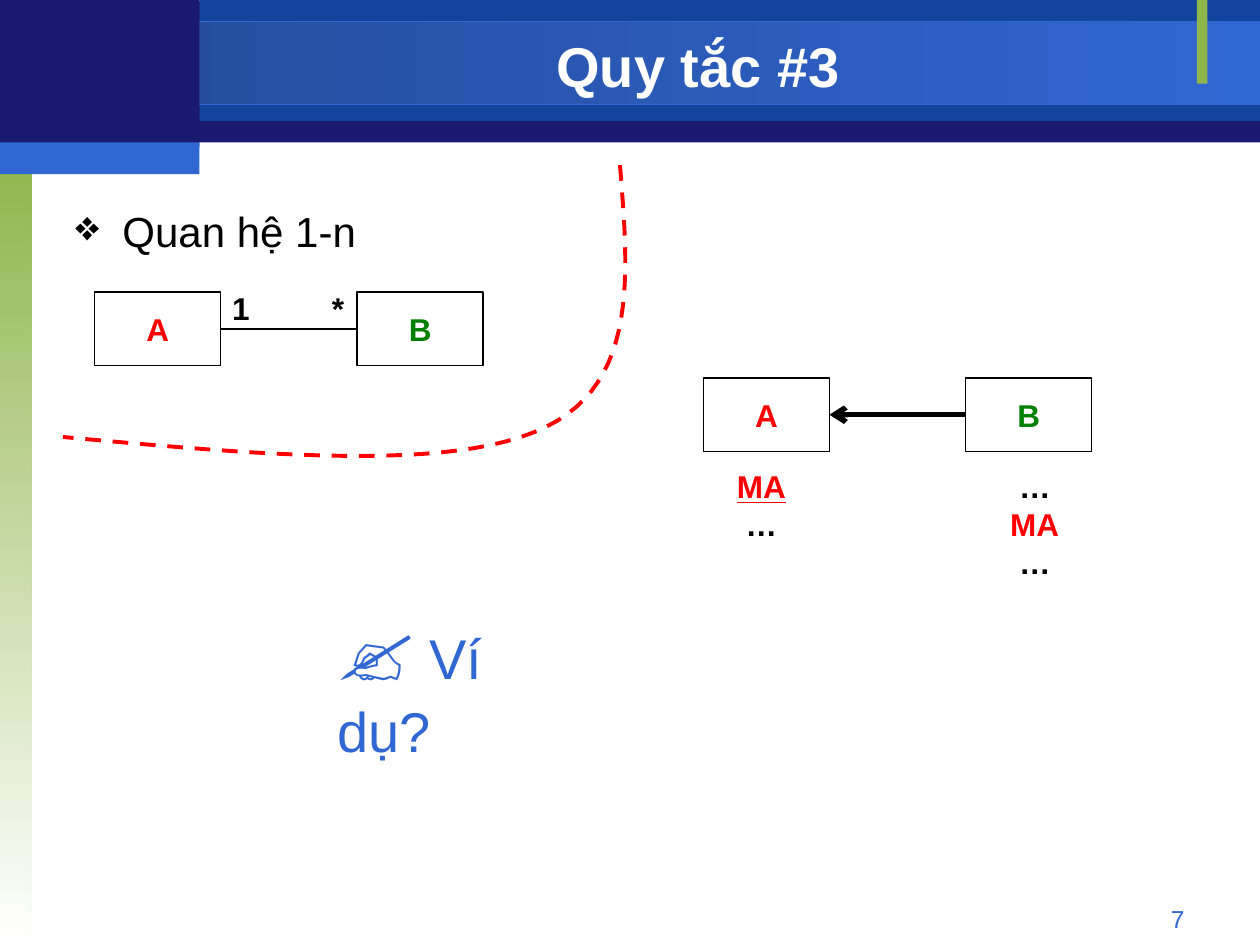
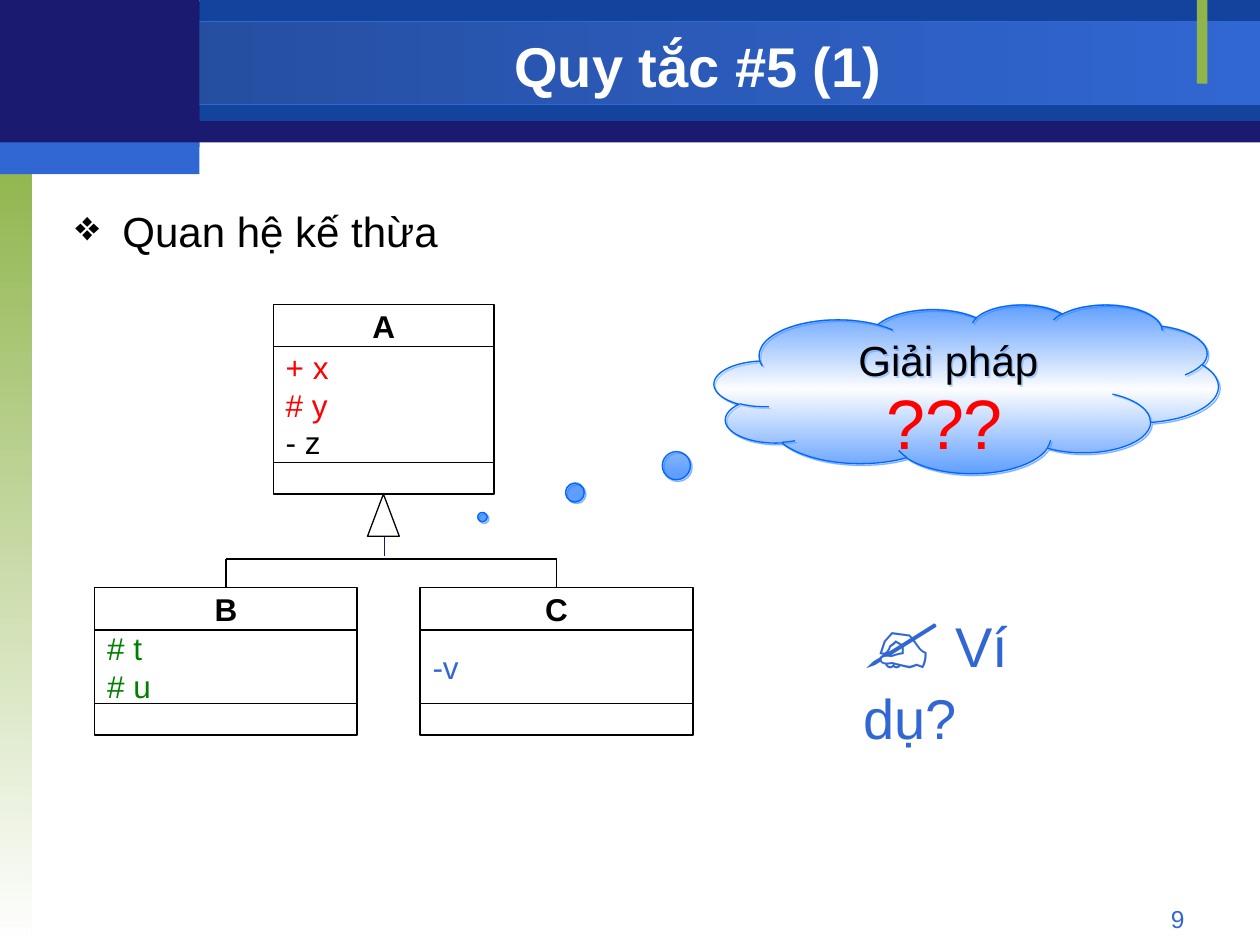
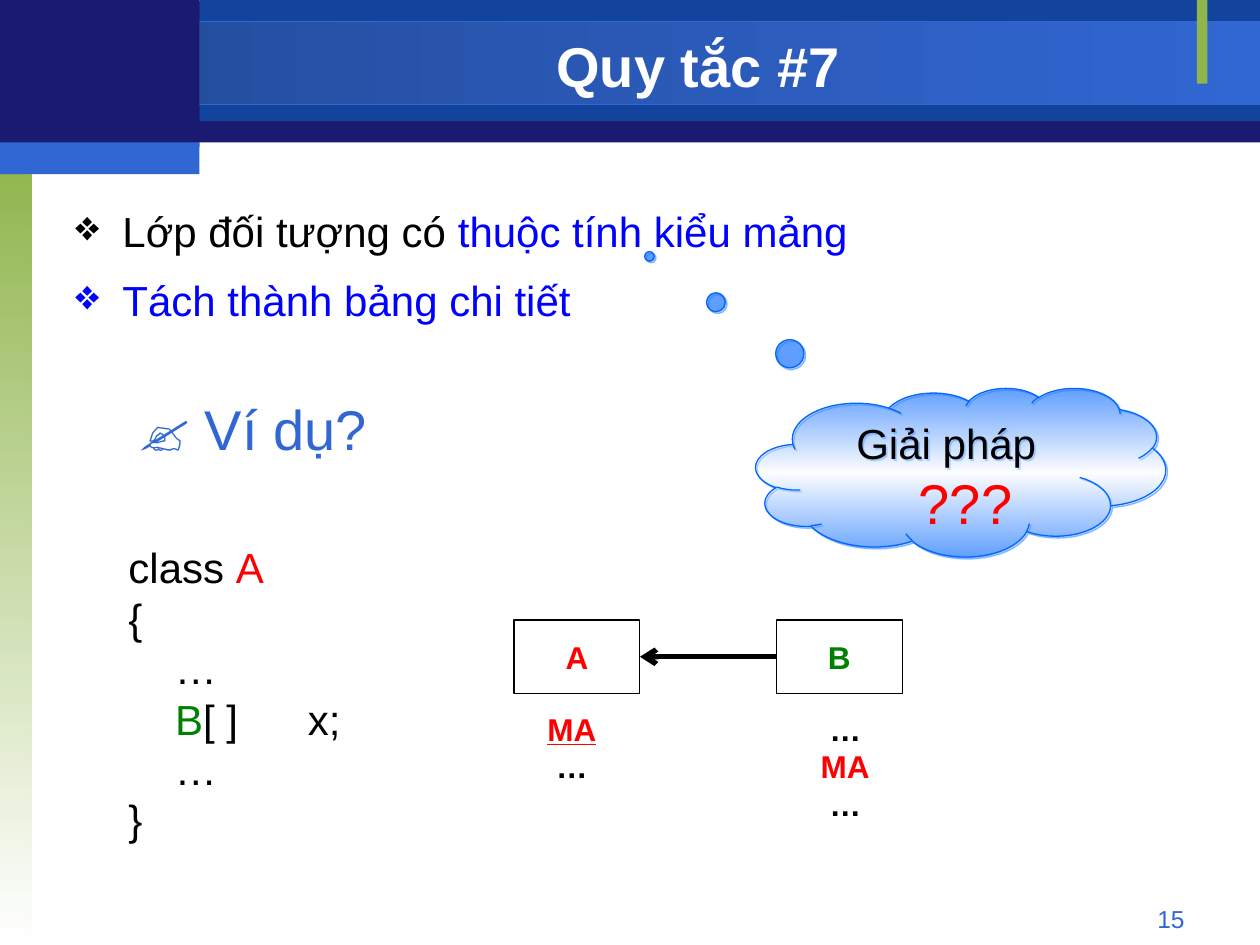
"""Build three slides on mapping class relations to tables."""
from lxml.etree import SubElement
from pptx import Presentation
from pptx.dml.color import RGBColor
from pptx.enum.dml import MSO_LINE
from pptx.enum.shapes import MSO_CONNECTOR, MSO_SHAPE
from pptx.enum.text import MSO_ANCHOR, PP_ALIGN
from pptx.oxml.ns import qn
from pptx.util import Cm, Pt

FONT = "Arial"
COLORS = {
    "navy": "1A1A70", "deep": "12449E", "dusk": "234A97", "azure": "3167D3",
    "leaf": "90B54D", "white": "FFFFFF", "black": "000000", "red": "FF0000",
    "green": "008000", "blue": "0000FF", "sky": "0066FF",
}
PAGE_WIDTH, PAGE_HEIGHT = 25.4, 19.05
LOGO_WIDTH = 4.02
ENTITY_WIDTH, ENTITY_HEIGHT, ENTITY_PITCH = 2.54, 1.48, 5.29
NAME_HEIGHT, METHODS_HEIGHT = 0.85, 0.64


def rgb(color):
    """Return the named colour."""
    return RGBColor.from_string(COLORS[color])


def write(target, *lines, size=18, color="black", bold=False, align=PP_ALIGN.LEFT,
          anchor=MSO_ANCHOR.TOP, wrap=True, bullet=None, spacing=None, gap=0):
    """Fill a shape with lines, each a string or a list of (text, style) runs."""
    frame = target.text_frame
    frame.word_wrap = wrap
    frame.vertical_anchor = anchor
    for number, line in enumerate(lines):
        paragraph = frame.add_paragraph() if number else frame.paragraphs[0]
        paragraph.alignment = align
        if bullet:
            properties = paragraph._p.get_or_add_pPr()
            properties.set("marL", str(Cm(0.95)))
            properties.set("indent", str(-Cm(0.95)))
            SubElement(properties, qn("a:buChar")).set("char", bullet)
        if spacing:
            paragraph.line_spacing = spacing
        if number and gap:
            paragraph.space_before = Pt(gap)
        for words, style in [(line, {})] if isinstance(line, str) else line:
            run = paragraph.add_run()
            run.text = words
            run.font.name = FONT
            run.font.size = Pt(style.get("size", size))
            run.font.bold = bold
            run.font.underline = style.get("underline", False)
            run.font.color.rgb = rgb(style.get("color", color))
    if bullet:
        for properties in frame._txBody.iter(qn("a:pPr")):
            properties.append(properties.find(qn("a:buChar")))


def add_text(slide, box, *lines, **style):
    """Place a text box given in centimetres."""
    write(slide.shapes.add_textbox(*map(Cm, box)), *lines, **style)


def add_block(slide, box, fill="white", line=None, kind=MSO_SHAPE.RECTANGLE):
    """Place a preset shape given in centimetres."""
    block = slide.shapes.add_shape(kind, *map(Cm, box))
    block.shadow.inherit = False
    block.fill.solid()
    block.fill.fore_color.rgb = rgb(fill)
    if line:
        block.line.color.rgb = rgb(line)
        block.line.width = Pt(0.75)
    else:
        block.line.fill.background()
    return block


def paint_gradient(block, colors, angle=0, alpha=None):
    """Fill a shape with evenly spaced colours, turned clockwise by the angle."""
    block.fill.gradient()
    block.fill.gradient_angle = (360 - angle) % 360
    stops = block.element.spPr.find(qn("a:gradFill")).find(qn("a:gsLst"))
    for stop in list(stops):
        stops.remove(stop)
    for number, color in enumerate(colors):
        stop = SubElement(stops, qn("a:gs"))
        stop.set("pos", str(100000 * number // (len(colors) - 1)))
        tint = SubElement(stop, qn("a:srgbClr"))
        tint.set("val", COLORS[color])
        if alpha:
            SubElement(tint, qn("a:alpha")).set("val", str(alpha * 1000))


def add_link(slide, start, end, color="black", width=0.75, arrow=False):
    """Draw a straight connector between two points in centimetres."""
    link = slide.shapes.add_connector(MSO_CONNECTOR.STRAIGHT, *map(Cm, (*start, *end)))
    link.line.color.rgb = rgb(color)
    link.line.width = Pt(width)
    if arrow:
        SubElement(link.line._get_or_add_ln(), qn("a:tailEnd")).set("type", "arrow")
    SubElement(link.element.spPr, qn("a:effectLst"))
    return link


def add_frame(deck, title, number, *points):
    """Add a slide with its bands, title, bullet points and page number."""
    slide = deck.slides.add_slide(deck.slide_layouts[6])
    add_block(slide, (0, 0.03, PAGE_WIDTH, 2.84), "navy")
    add_block(slide, (LOGO_WIDTH, 0, PAGE_WIDTH - LOGO_WIDTH, 2.44), "deep")
    title_band = add_block(slide, (0, 0.43, PAGE_WIDTH, 1.68), line="azure")
    paint_gradient(title_band, ("dusk", "azure"))
    side_band = add_block(slide, (0, 3.18, 0.64, PAGE_HEIGHT - 3.18))
    paint_gradient(side_band, ("leaf", "white"), angle=90)
    add_block(slide, (24.13, 0, 0.21, 1.69), "leaf")
    add_block(slide, (0, 0, LOGO_WIDTH, 2.97), "navy")
    add_block(slide, (0, 2.87, LOGO_WIDTH, 0.64), "azure")
    add_text(slide, (18.2, 18.1, 5.93, 0.69), str(number), size=14, color="azure",
             align=PP_ALIGN.RIGHT)
    add_text(slide, (LOGO_WIDTH, 0.58, 20.11, 1.48), title, size=32, color="white",
             bold=True, align=PP_ALIGN.CENTER, anchor=MSO_ANCHOR.MIDDLE)
    add_text(slide, (1.27, 3.81, 22.86, 13.97), *points, size=24, bullet="❖",
             spacing=1.2, gap=4.8)
    return slide


def add_entities(slide, left, top):
    """Draw the boxes A and B side by side and return them."""
    entities = []
    for column, (name, color) in enumerate((("A", "red"), ("B", "green"))):
        entity = add_block(slide, (left + column * ENTITY_PITCH, top, ENTITY_WIDTH,
                                   ENTITY_HEIGHT), line="black")
        write(entity, name, color=color, bold=True, align=PP_ALIGN.CENTER,
              anchor=MSO_ANCHOR.MIDDLE)
        entities.append(entity)
    return entities


def add_association(slide, left, top):
    """Draw the one-to-many association between A and B."""
    one, many = add_entities(slide, left, top)
    middle = top + ENTITY_HEIGHT / 2
    link = add_link(slide, (left + ENTITY_WIDTH, middle), (left + ENTITY_PITCH, middle))
    link.begin_connect(one, 3)
    link.end_connect(many, 1)
    for offset, multiplicity in ((2.52, "1"), (4.53, "*")):
        add_text(slide, (left + offset, top - 0.18, 0.82, 1.02), multiplicity,
                 bold=True, wrap=False)


def add_reference(slide, left, top):
    """Draw table B pointing to table A, with their key columns below."""
    target, source = add_entities(slide, left, top)
    middle = top + ENTITY_HEIGHT / 2
    link = add_link(slide, (left + ENTITY_PITCH, middle), (left + ENTITY_WIDTH, middle),
                    width=3, arrow=True)
    link.begin_connect(source, 1)
    link.end_connect(target, 3)
    primary_key = [("MA", {"color": "red", "underline": True})]
    foreign_key = [("MA", {"color": "red"})]
    for offset, columns in ((0.42, (primary_key, "…")),
                            (5.93, ("…", foreign_key, "…"))):
        add_text(slide, (left + offset, top + 1.68, 1.5, 0.25 + 0.76 * len(columns)),
                 *columns, bold=True, align=PP_ALIGN.CENTER, wrap=False)


def add_class(slide, box, name, *attributes, color="black"):
    """Draw a class in three compartments and return the one with its name."""
    left, top, width, attributes_height = box
    heading = add_block(slide, (left, top, width, NAME_HEIGHT), line="black")
    write(heading, name, bold=True, align=PP_ALIGN.CENTER, anchor=MSO_ANCHOR.MIDDLE)
    top += NAME_HEIGHT
    fields = add_block(slide, (left, top, width, attributes_height), line="black")
    write(fields, *attributes, color=color, anchor=MSO_ANCHOR.MIDDLE)
    add_block(slide, (left, top + attributes_height, width, METHODS_HEIGHT), line="black")
    return heading


def add_inheritance(slide, left, top):
    """Draw class A with its subclasses B and C."""
    add_class(slide, (left + 3.6, top, 4.45, 2.33), "A",
              "+ x", "# y", [("- z", {"color": "black"})], color="red")
    children_top = top + 5.71
    children = (
        (0, 5.29, add_class(slide, (left, children_top, 5.29, 1.48), "B",
                            "# t", "# u", color="green")),
        (6.56, 5.5, add_class(slide, (left + 6.56, children_top, 5.5, 1.48), "C",
                              "-v", color="azure")),
    )
    bar = children_top - 0.58
    centers = [left + offset + width / 2 for offset, width, _ in children]
    add_link(slide, (centers[0], bar), (centers[1], bar))
    for center, (_, _, heading) in zip(centers, children):
        add_link(slide, (center, bar), (center, children_top)).end_connect(heading, 0)
    stem = left + 5.84
    add_link(slide, (stem, bar - 0.06), (stem, bar - 0.68), color="navy")
    add_block(slide, (stem - 0.34, top + 3.82, 0.64, 0.85), line="black",
              kind=MSO_SHAPE.ISOSCELES_TRIANGLE)


def add_thought(slide, box, pointer, mark, mark_size):
    """Draw the thought cloud, its mark placed relative to the cloud."""
    cloud = add_block(slide, box, line="sky", kind=MSO_SHAPE.CLOUD_CALLOUT)
    cloud.adjustments[0], cloud.adjustments[1] = pointer
    paint_gradient(cloud, ("sky", "white", "sky"), angle=90, alpha=50)
    shadow = SubElement(cloud.element.spPr.find(qn("a:effectLst")), qn("a:outerShdw"))
    shadow.set("dist", str(Pt(1.4)))
    shadow.set("dir", "2700000")
    tint = SubElement(shadow, qn("a:srgbClr"))
    tint.set("val", COLORS["sky"])
    SubElement(tint, qn("a:alpha")).set("val", "50000")
    write(cloud, "Giải pháp", size=24, align=PP_ALIGN.CENTER, anchor=MSO_ANCHOR.MIDDLE)
    cloud.text_frame.margin_bottom = Cm(1.14)
    left, top, width, height = mark
    add_text(slide, (box[0] + left, box[1] + top, width, height), "???",
             size=mark_size, color="red", align=PP_ALIGN.CENTER)


def add_example(slide, box, pen_size):
    """Write the call for an example after a writing hand."""
    add_text(slide, box, [("✍", {"size": pen_size}), (" Ví dụ?", {})],
             size=32, color="azure", wrap=False)


def add_divider(slide, left, top, steps=24):
    """Draw the dashed curve between the model and its tables."""
    curves = (((11.23, 0), (11.4, 2.18), (11.61, 4.37), (9.73, 5.28)),
              ((9.73, 5.28), (7.87, 6.2), (3.94, 5.84), (0, 5.48)))
    weights = [((1 - t) ** 3, 3 * t * (1 - t) ** 2, 3 * t * t * (1 - t), t ** 3)
               for t in (step / steps for step in range(steps + 1))]
    points = [(Cm(left + sum(w * x for w, (x, _) in zip(weight, curve))),
               Cm(top + sum(w * y for w, (_, y) in zip(weight, curve))))
              for curve in curves for weight in weights]
    outline = slide.shapes.build_freeform(*points[0])
    outline.add_line_segments(points[1:], close=False)
    divider = outline.convert_to_shape()
    divider.shadow.inherit = False
    divider.fill.background()
    divider.line.color.rgb = rgb("red")
    divider.line.width = Pt(2.25)
    divider.line.dash_style = MSO_LINE.DASH


def add_code(slide, box):
    """Write the class with an array attribute."""
    add_text(slide, box,
             [("class ", {}), ("A", {"color": "red"})],
             "{",
             "    …",
             [("    ", {}), ("B", {"color": "green"}), ("[ ]      x;", {})],
             "    …",
             "}", size=24)


def main():
    """Build and save the presentation."""
    deck = Presentation()
    deck.slide_width, deck.slide_height = Cm(PAGE_WIDTH), Cm(PAGE_HEIGHT)

    one_to_many = add_frame(deck, "Quy tắc #3", 7, "Quan hệ 1-n")
    add_association(one_to_many, 1.91, 5.89)
    add_reference(one_to_many, 14.18, 7.62)
    add_example(one_to_many, (6.55, 11.89, 5.61, 2.29), 48)
    add_divider(one_to_many, 1.27, 3.33)

    inheritance = add_frame(deck, "Quy tắc #5 (1)", 9, "Quan hệ kế thừa")
    add_inheritance(inheritance, 1.91, 6.14)
    add_example(inheritance, (17.15, 11.63, 5.61, 2.29), 48)
    add_thought(inheritance, (14.4, 6.14, 10.16, 3.4), (-0.96, 0.76),
                (2.95, 1.38, 3.38, 1.96), 40)

    array_attribute = add_frame(
        deck, "Quy tắc #7", 15,
        [("Lớp đối tượng có ", {}), ("thuộc tính kiểu mảng", {"color": "blue"})],
        [("Tách thành bảng chi tiết", {"color": "blue"})])
    add_example(array_attribute, (2.54, 7.82, 5.11, 1.6), 32)
    add_code(array_attribute, (2.34, 10.8, 5.28, 6.35))
    add_reference(array_attribute, 10.36, 12.5)
    add_thought(array_attribute, (15.24, 7.82, 8.26, 3.4), (-0.76, -1.28),
                (2.74, 1.5, 2.97, 1.6), 32)

    deck.save("out.pptx")


if __name__ == "__main__":
    main()
